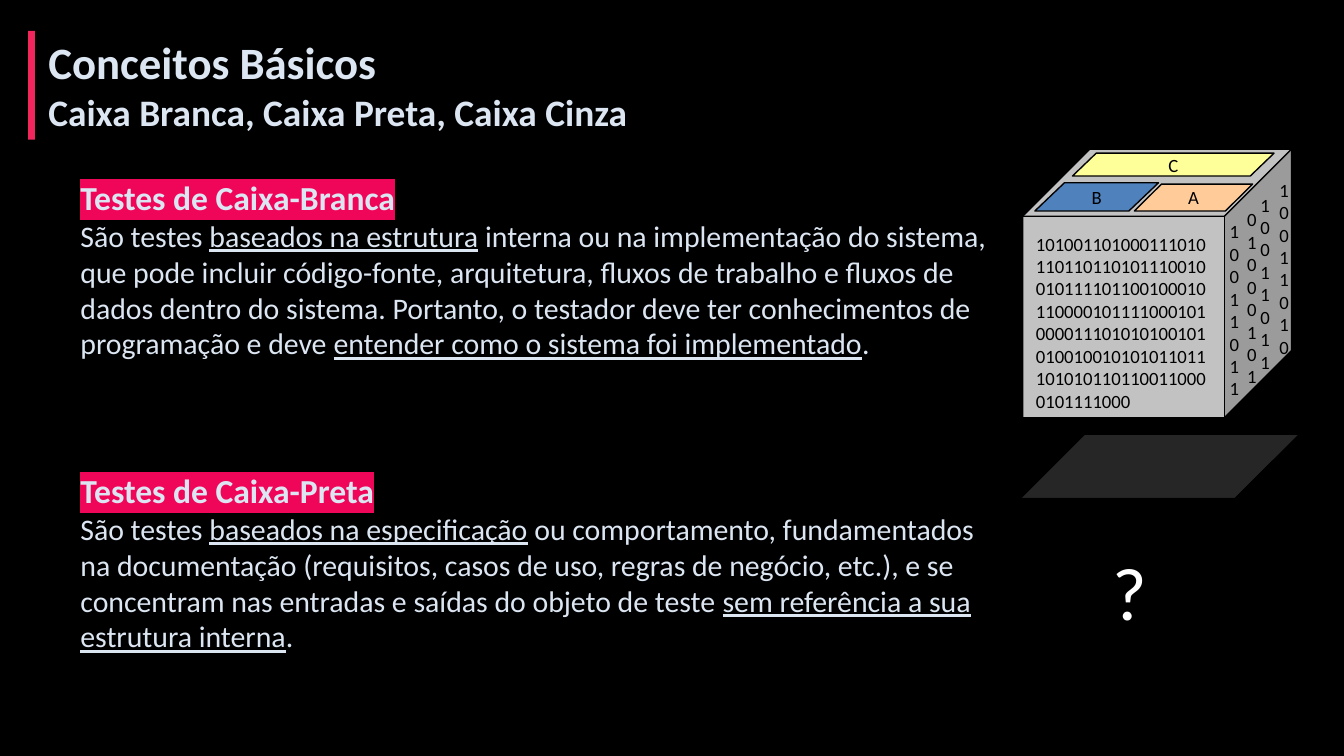
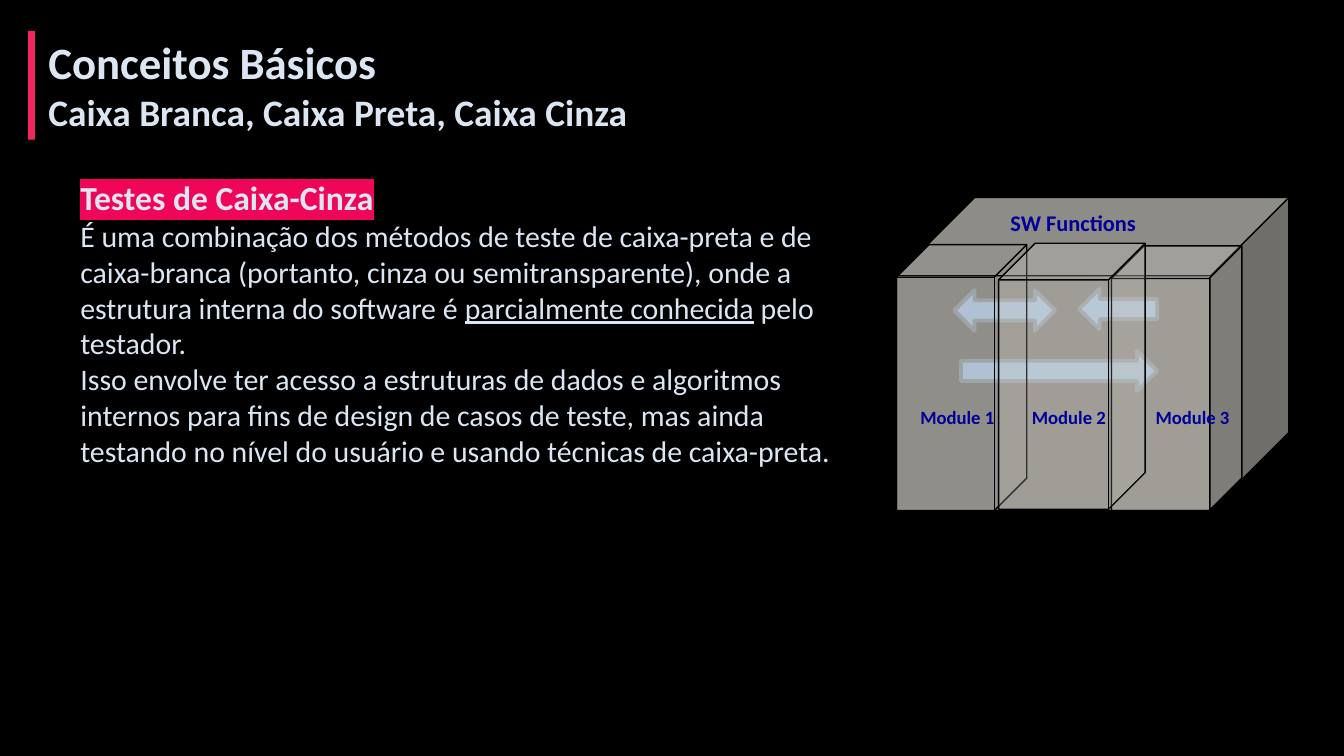
from dataclasses import dataclass
from lxml.etree import SubElement
from pptx import Presentation
from pptx.dml.color import RGBColor
from pptx.enum.shapes import MSO_SHAPE as SHAPE
from pptx.enum.text import MSO_ANCHOR as ANCHOR, MSO_AUTO_SIZE as AUTO, PP_ALIGN as ALIGN
from pptx.oxml.ns import qn
from pptx.util import Inches, Pt


@dataclass(frozen=True)
class Theme:
    font: str = "Calibri"
    black: str = "000000"
    white: str = "FFFFFF"
    light: str = "DCE6F2"
    bar: str = "F0265D"
    mark: str = "F00659"
    blue: str = "4F81BD"
    arrow_line: str = "233953"
    glass: str = "EEECE1"
    navy: str = "000099"
    orange: str = "FFCC99"
    yellow: str = "FFFF99"
    title: int = 24
    subtitle: int = 20
    heading: int = 18
    body: int = 16
    label: int = 12
    small: int = 10
    question: int = 40


T = Theme()

TITLE = [("Conceitos Básicos", T.title), ("Caixa Branca, Caixa Preta, Caixa Cinza", T.subtitle)]

UNDERLINE = "_"
WHITE_BOX = ("Testes de Caixa-Branca", [
    "São testes _baseados na estrutura_ interna ou na implementação do sistema, que pode incluir "
    "código-fonte, arquitetura, fluxos de trabalho e fluxos de dados dentro do sistema. Portanto, "
    "o testador deve ter conhecimentos de programação e deve "
    "_entender como o sistema foi implementado_."])
BLACK_BOX = ("Testes de Caixa-Preta", [
    "São testes _baseados na especificação_ ou comportamento, fundamentados na documentação "
    "(requisitos, casos de uso, regras de negócio, etc.), e se concentram nas entradas e saídas do "
    "objeto de teste _sem referência a sua estrutura interna_."])
GREY_BOX = ("Testes de Caixa-Cinza", [
    "É uma combinação dos métodos de teste de caixa-preta e de caixa-branca (portanto, cinza ou "
    "semitransparente), onde a estrutura interna do software é _parcialmente conhecida_ pelo "
    "testador.",
    "Isso envolve ter acesso a estruturas de dados e algoritmos internos para fins de design de "
    "casos de teste, mas ainda testando no nível do usuário e usando técnicas de caixa-preta."])

FRONT_BITS = ("1010011010001110101101101101011100100101111011001000101100001011110001010000"
              "111010101001010100100101010110111010101101100110000101111000")
SIDE_BITS = [("10011011", 9.05, 1.59), ("01000101", 9.18, 1.5), ("10011011", 9.28, 1.39)]
LAST_BITS = [("10011010", 9.42, 1.28)]
TOP_TILES = [("B", (7.7, 1.36, 0.92, 0.21), 1.05, T.blue),
             ("A", (8.44, 1.37, 0.88, 0.2), 1.01, T.orange),
             ("C", (7.98, 1.14, 1.5, 0.17), 1.04, T.yellow)]

ARROWS = [(SHAPE.LEFT_RIGHT_ARROW, (7.1, 2.16, 0.75, 0.3)),
          (SHAPE.RIGHT_ARROW, (7.15, 2.61, 1.46, 0.3)),
          (SHAPE.LEFT_ARROW, (8.03, 2.15, 0.58, 0.3))]
GLASS_CUBES = [((6.67, 1.47, 2.92, 2.33), 59), ((6.67, 1.82, 0.97, 1.98), 5),
               ((8.27, 1.83, 0.97, 1.97), 20), ((7.43, 1.81, 1.09, 1.98), 20)]
MODULES = [("Module 3", 8.5), ("Module 1", 6.75), ("Module 2", 7.58)]


def add_run(p, text, size, color, bold=False, underline=False, mark=None):
    r = p.add_run()
    r.text = text
    f = r.font
    f.name, f.size, f.bold, f.underline = T.font, Pt(size), bold, underline
    f.color.rgb = RGBColor.from_string(color)
    if mark:
        rpr = r._r.get_or_add_rPr()
        hl = SubElement(rpr, qn("a:highlight"))
        SubElement(hl, qn("a:srgbClr"), val=mark)
        rpr.find(qn("a:solidFill")).addnext(hl)


def add_box(s, box):
    tf = s.shapes.add_textbox(*map(Inches, box)).text_frame
    tf.word_wrap = True
    tf.auto_size = AUTO.SHAPE_TO_FIT_TEXT
    return tf


def add_label(s, box, text, size=T.small, color=T.black, bold=False):
    p = add_box(s, box).paragraphs[0]
    before = SubElement(p._p.get_or_add_pPr(), qn("a:spcBef"))
    SubElement(before, qn("a:spcPct"), val="50000")
    add_run(p, text, size, color, bold)


def add_shape(s, kind, box, fill, line=None, width=0.75, alpha=None, adj=None):
    sp = s.shapes.add_shape(kind, *map(Inches, box))
    sp.shadow.inherit = False
    sp.fill.solid()
    sp.fill.fore_color.rgb = RGBColor.from_string(fill)
    if alpha is not None:
        clr = sp._element.spPr.find(qn("a:solidFill"))[0]
        SubElement(clr, qn("a:alpha"), val=str(alpha * 1000))
    if line:
        sp.line.color.rgb = RGBColor.from_string(line)
        sp.line.width = Pt(width)
    else:
        sp.line.fill.background()
    if adj is not None:
        sp.adjustments[0] = adj
    return sp


def add_cube(s, box, fill, alpha):
    add_shape(s, SHAPE.CUBE, box, fill, T.black, alpha=alpha, adj=0.25)


def add_columns(s, columns):
    for bits, left, top in columns:
        add_label(s, (left, top, 0.25, 1.43), bits)


def add_concept(s, concept, box):
    heading, paragraphs = concept
    tf = add_box(s, box)
    add_run(tf.paragraphs[0], heading, T.heading, T.light, bold=True, mark=T.mark)
    for text in paragraphs:
        p = tf.add_paragraph()
        for i, part in enumerate(text.split(UNDERLINE)):
            add_run(p, part, T.body, T.light, underline=i % 2 == 1)


def new_slide(prs):
    s = prs.slides.add_slide(prs.slide_layouts[5])
    s.background.fill.solid()
    s.background.fill.fore_color.rgb = RGBColor.from_string(T.black)
    title = s.shapes.title
    title.left, title.top, title.width, title.height = map(Inches, (0.26, 0.21, 4.55, 0.84))
    tf = title.text_frame
    tf.word_wrap = False
    tf.auto_size = AUTO.SHAPE_TO_FIT_TEXT
    tf.vertical_anchor = ANCHOR.TOP
    for i, (text, size) in enumerate(TITLE):
        p = tf.add_paragraph() if i else tf.paragraphs[0]
        p.alignment = ALIGN.LEFT
        add_run(p, text, size, T.light, bold=True)
    add_shape(s, SHAPE.RECTANGLE, (0.21, 0.23, 0.05, 0.81), T.bar)
    return s


def white_and_black_slide(prs):
    s = new_slide(prs)
    for concept, top in ((WHITE_BOX, 1.27), (BLACK_BOX, 3.45)):
        add_concept(s, concept, (0.5, top, 7.08, 1.48))
    add_cube(s, (7.59, 3.23, 2.08, 1.92), T.black, 76)
    add_label(s, (8.18, 4.01, 0.92, 0.77), "?", T.question, T.white)
    add_cube(s, (7.61, 1.11, 2, 2), T.white, 76)
    add_label(s, (7.61, 1.68, 1.5, 1.43), FRONT_BITS)
    add_columns(s, SIDE_BITS)
    for letter, box, slant, fill in TOP_TILES:
        sp = add_shape(s, SHAPE.PARALLELOGRAM, box, fill, T.black, adj=slant)
        tf = sp.text_frame
        tf.word_wrap = False
        tf.vertical_anchor = ANCHOR.MIDDLE
        p = tf.paragraphs[0]
        p.alignment = ALIGN.CENTER
        add_run(p, letter, T.small, T.black)
    add_columns(s, LAST_BITS)


def grey_slide(prs):
    s = new_slide(prs)
    for kind, box in ARROWS:
        add_shape(s, kind, box, T.blue, T.arrow_line, 2)
    add_concept(s, GREY_BOX, (0.5, 1.27, 6.06, 2.29))
    for box, alpha in GLASS_CUBES:
        add_cube(s, box, T.glass, alpha)
    for name, left in MODULES:
        add_label(s, (left, 2.97, 0.75, 0.44), name, T.small, T.navy, bold=True)
    add_label(s, (7.42, 1.51, 1.75, 0.3), "SW Functions", T.label, T.navy, bold=True)


def main():
    prs = Presentation()
    prs.slide_width = Inches(10)
    prs.slide_height = Inches(10 * 9 / 16)
    white_and_black_slide(prs)
    grey_slide(prs)
    prs.save("out.pptx")


if __name__ == "__main__":
    main()
